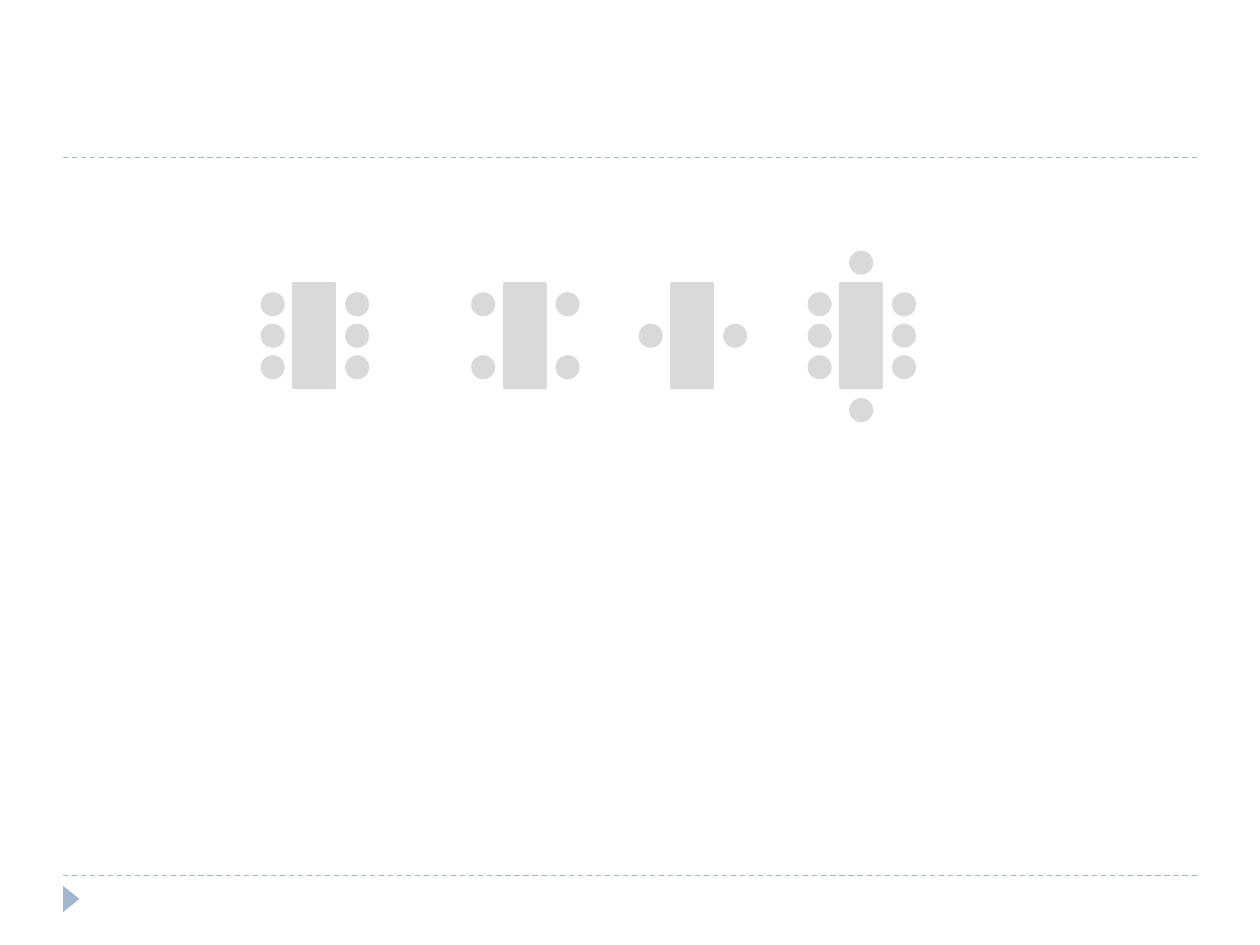
from lxml import etree
from pptx import Presentation
from pptx.dml.color import RGBColor
from pptx.enum import dml, shapes
from pptx.oxml import ns
from pptx.util import Inches, Pt

ACCENT = "9FB8CD"
FURNITURE = "D9D9D9"
TABLE_TOP, TABLE_WIDTH, TABLE_HEIGHT = 2.25, 0.33, 0.83
SEAT_SIZE = 0.17
SIDE_OFFSETS = (0.42, -0.25)
TOP, MIDDLE, BOTTOM = 2.33, 2.58, 2.83


def color(value):
    return RGBColor.from_string(value)


def add_filled(parent, kind, left, top, width, height, fill, line_width=0):
    shape = parent.shapes.add_shape(
        kind, Inches(left), Inches(top), Inches(width), Inches(height))
    shape.shadow.inherit = False
    shape.fill.solid()
    shape.fill.fore_color.rgb = color(fill)
    if line_width:
        shape.line.color.rgb = color(fill)
        shape.line.width = Pt(line_width)
    else:
        shape.line.fill.background()
    return shape


presentation = Presentation()
presentation.slide_width = Inches(10)
presentation.slide_height = Inches(7.5)
slide = presentation.slides.add_slide(presentation.slide_layouts[6])
slide.background.fill.solid()
slide.background.fill.fore_color.rgb = color("FFFFFF")

for rule_top in (6.95, 1.25):
    rule = slide.shapes.add_connector(
        shapes.MSO_CONNECTOR.STRAIGHT,
        Inches(0.5), Inches(rule_top), Inches(9.5), Inches(rule_top))
    line_format = {"width": Pt(0.75), "dash_style": dml.MSO_LINE.DASH}
    rule.line.color.rgb = color(ACCENT)
    for name, value in line_format.items():
        setattr(rule.line, name, value)
    etree.SubElement(rule._element.spPr, ns.qn("a:effectLst"))

marker = add_filled(slide, shapes.MSO_SHAPE.ISOSCELES_TRIANGLE,
                    0.46, 7.07, 0.21, 0.13, ACCENT)
marker.rotation = 90

seating_plans = [
    (2.33, (TOP, MIDDLE, BOTTOM), ()),
    (4, (TOP, BOTTOM), ()),
    (5.33, (MIDDLE,), ()),
    (6.67, (TOP, MIDDLE, BOTTOM), (2, 3.17)),
]
for table_left, side_rows, end_rows in seating_plans:
    group = slide.shapes.add_group_shape()
    add_filled(group, shapes.MSO_SHAPE.RECTANGLE, table_left, TABLE_TOP,
               TABLE_WIDTH, TABLE_HEIGHT, FURNITURE, 1.5)
    seats = [(offset, row) for offset in SIDE_OFFSETS for row in side_rows]
    seats += [((TABLE_WIDTH - SEAT_SIZE) / 2, row) for row in end_rows]
    for offset, row in seats:
        add_filled(group, shapes.MSO_SHAPE.OVAL, table_left + offset, row,
                   SEAT_SIZE, SEAT_SIZE, FURNITURE, 1.5)

presentation.save("out.pptx")
